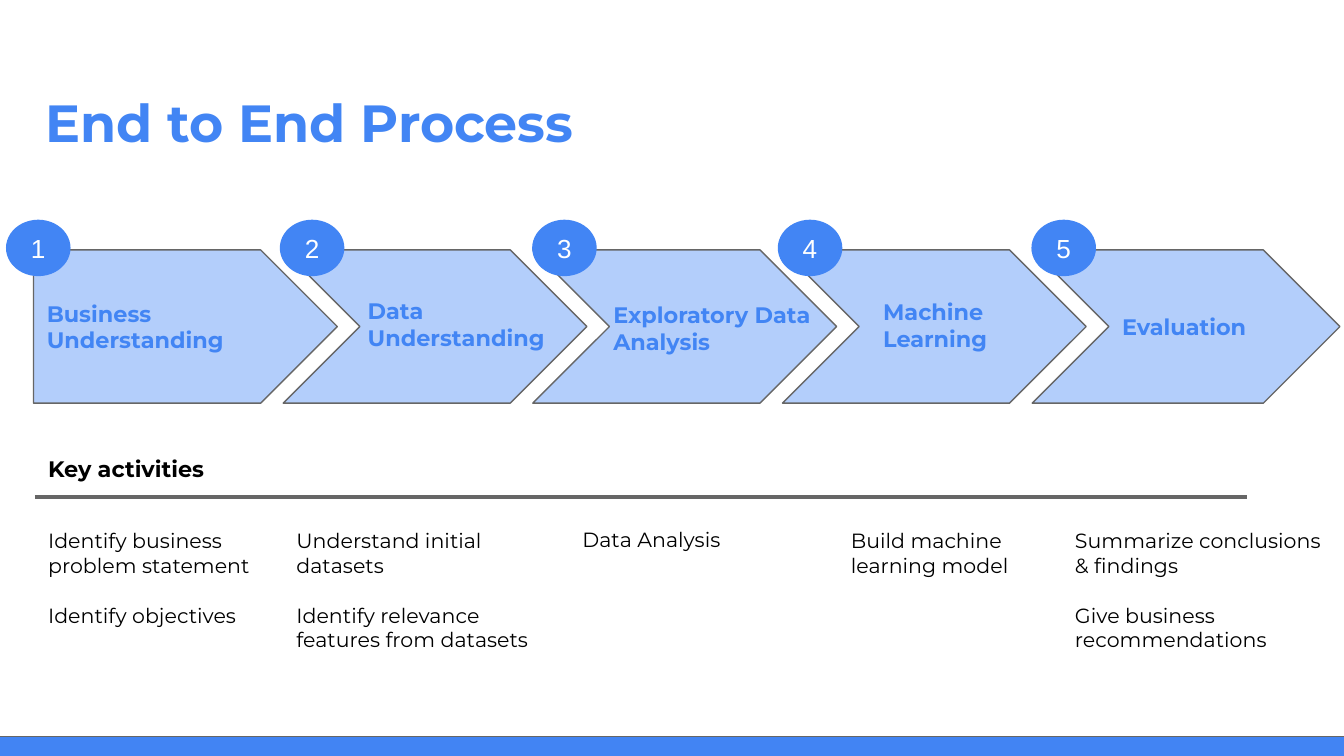
from lxml.etree import SubElement
from pptx import Presentation
from pptx.dml.color import RGBColor
from pptx.enum.shapes import MSO_CONNECTOR, MSO_SHAPE
from pptx.enum.text import MSO_ANCHOR, MSO_AUTO_SIZE, PP_ALIGN
from pptx.oxml.ns import qn
from pptx.util import Inches, Pt

BLUE, PALE, GREY, BLACK, WHITE = "4285F4", "B3CEFB", "666666", "000000", "FFFFFF"
FONT = "Montserrat"
W = 10
H = W * 9 / 16
LEFT, LAST = 0.25, 7.68
ARROW_TOP, ARROW_H = 1.86, 1.14
BADGE_TOP, ACTIVITY_TOP = 1.64, 3.83

STAGES = [
    {"label": ["Business", "Understanding"], "place": None, "arrow": 2.26, "badge": -0.2,
     "activity": (0.01, 1.83),
     "groups": [["Identify business", "problem statement"], ["Identify objectives"]]},
    {"label": ["Data", "Understanding"], "place": (0.53, 2.11), "arrow": 2.26, "badge": -0.02,
     "activity": (0, 2.26),
     "groups": [["Understand initial", "datasets"],
                ["Identify relevance", "features from datasets"]]},
    {"label": ["Exploratory Data Analysis"], "place": (0.5, 2.14), "arrow": 2.26, "badge": 0,
     "activity": (0.27, 1.83), "groups": [["Data Analysis"]]},
    {"label": ["Machine", "Learning"], "place": (0.65, 2.12), "arrow": 2.26, "badge": -0.03,
     "activity": (0.41, 1.83), "groups": [["Build machine", "learning model"]]},
    {"label": ["Evaluation"], "place": None, "arrow": 2.29, "badge": 0,
     "activity": (0.22, 2.05),
     "groups": [["Summarize conclusions & findings"], ["Give business recommendations"]]},
]


def rgb(value):
    """Turn a hex string into a colour."""
    return RGBColor.from_string(value)


def write(sp, groups, size, color, bold=False, font=FONT, align=PP_ALIGN.LEFT, gap=13.5):
    """Write groups of lines into a shape, with a gap between groups."""
    tf = sp.text_frame
    tf.word_wrap = True
    tf.margin_left = tf.margin_right = tf.margin_top = tf.margin_bottom = Inches(0.1)
    p = None
    for g, lines in enumerate(groups):
        for n, line in enumerate(lines):
            p = tf.add_paragraph() if p is not None else tf.paragraphs[0]
            p.alignment = align
            if g and not n:
                p.space_before = Pt(gap)
            r = p.add_run()
            r.text = line
            r.font.name, r.font.size, r.font.bold = font, Pt(size), bold
            r.font.color.rgb = rgb(color)


def add_text(s, x, y, w, h, groups, size, color, bold=False):
    """Add a text box."""
    sp = s.shapes.add_textbox(Inches(x), Inches(y), Inches(w), Inches(h))
    write(sp, groups, size, color, bold)
    sp.text_frame.auto_size = MSO_AUTO_SIZE.SHAPE_TO_FIT_TEXT


def add_box(s, kind, x, y, w, h, fill, line):
    """Add a filled and outlined preset shape."""
    sp = s.shapes.add_shape(kind, Inches(x), Inches(y), Inches(w), Inches(h))
    sp.shadow.inherit = False
    sp.fill.solid()
    sp.fill.fore_color.rgb = rgb(fill)
    sp.line.color.rgb = rgb(line)
    sp.line.width = Pt(0.75)
    sp.text_frame.vertical_anchor = MSO_ANCHOR.MIDDLE
    return sp


def add_rule(s, x1, x2, y):
    """Add the horizontal rule below the heading."""
    ln = s.shapes.add_connector(MSO_CONNECTOR.STRAIGHT, Inches(x1), Inches(y), Inches(x2), Inches(y))
    ln.line.color.rgb = rgb(GREY)
    ln.line.width = Pt(2.25)
    SubElement(ln._element.spPr, qn("a:effectLst"))


def main():
    """Build the process slide."""
    prs = Presentation()
    prs.slide_width, prs.slide_height = Inches(W), Inches(H)
    s = prs.slides.add_slide(prs.slide_layouts[6])
    step = (LAST - LEFT) / (len(STAGES) - 1)
    columns = [(LEFT + i * step, stage) for i, stage in enumerate(STAGES)]

    add_box(s, MSO_SHAPE.RECTANGLE, -0.04, 5.48, 10.18, 0.3, "4284F3", GREY)
    add_text(s, 0.24, 0.57, 5.99, 0.55, [["End to End Process"]], 28, BLUE, True)

    for i, (x, stage) in enumerate(columns):
        kind = MSO_SHAPE.CHEVRON if i else MSO_SHAPE.PENTAGON
        sp = add_box(s, kind, x, ARROW_TOP, stage["arrow"], ARROW_H, PALE, GREY)
        if not stage["place"]:
            write(sp, [stage["label"]], 12, BLUE, True)

    for number, (x, stage) in enumerate(columns, 1):
        sp = add_box(s, MSO_SHAPE.OVAL, x + stage["badge"], BADGE_TOP, 0.47, 0.41, BLUE, BLUE)
        write(sp, [[str(number)]], 14, WHITE, font="Arial", align=PP_ALIGN.CENTER)

    for x, stage in columns:
        if stage["place"]:
            dx, y = stage["place"]
            add_text(s, x + dx, y, 1.98, 0.61, [stage["label"]], 12, BLUE, True)

    add_text(s, 0.26, 3.29, 2.26, 0.4, [["Key activities"]], 12, BLACK, True)
    add_rule(s, 0.26, 9.28, 3.7)

    for x, stage in columns:
        dx, w = stage["activity"]
        rows = sum(len(lines) + 1 for lines in stage["groups"]) - 1
        add_text(s, x + dx, ACTIVITY_TOP, w, 0.2 + 0.19 * rows, stage["groups"], 11, BLACK)

    prs.save("out.pptx")


if __name__ == "__main__":
    main()
